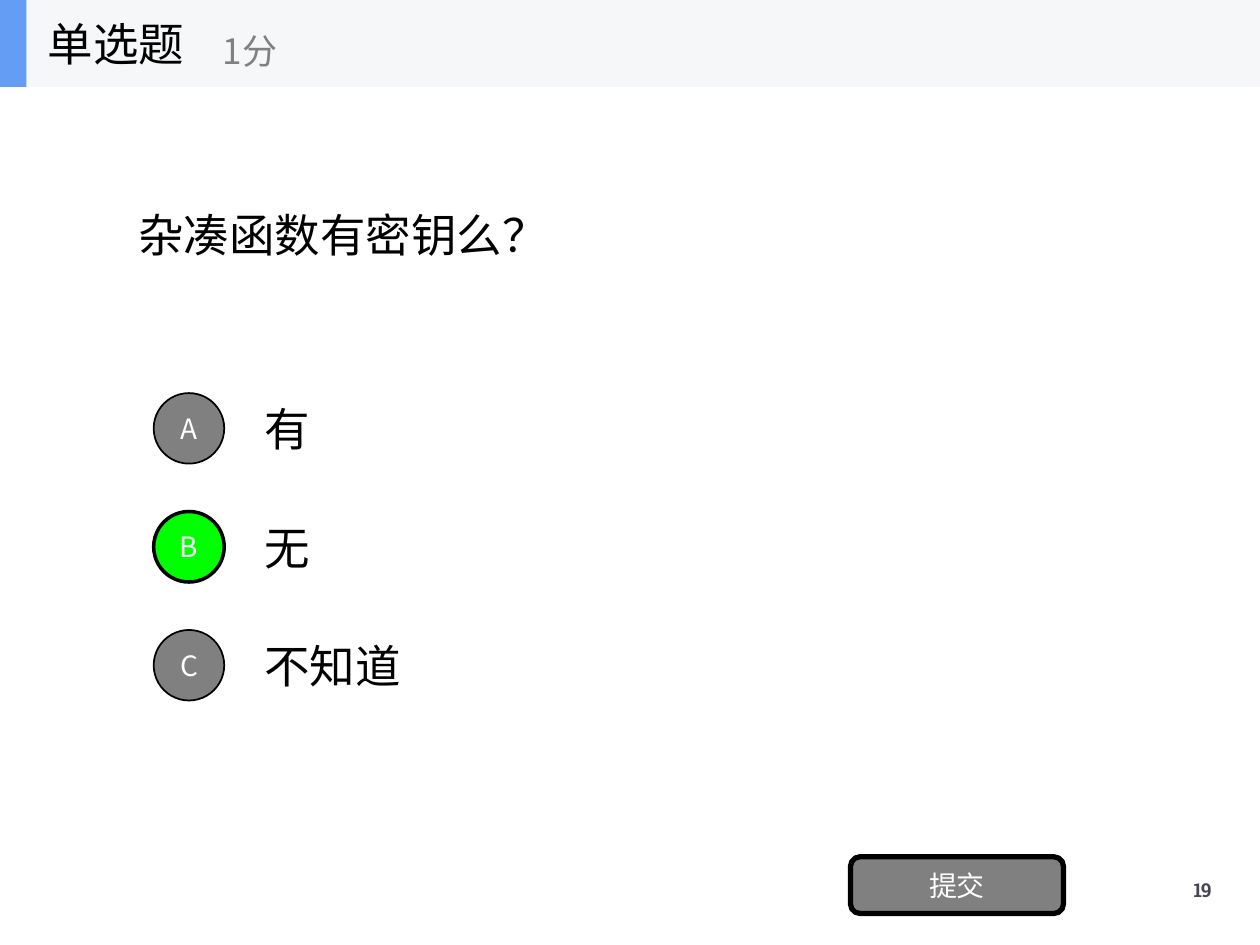
from lxml import etree
from pptx import Presentation
from pptx.dml.color import RGBColor
from pptx.enum import shapes, text
from pptx.oxml.ns import qn
from pptx.util import Inches, Pt

HEAD = "单选题"
SCORE = "1分"
ASK = "杂凑函数有密钥么？"
CHOICES = [("A", "有"), ("B", "无"), ("C", "不知道")]
RIGHT = "B"
SUBMIT = "提交"
PAGE = "19"

THEME = {
    "font": "Noto Sans CJK SC", "serif": "Roboto Slab",
    "ink": "000000", "grey": "808080", "white": "FFFFFF", "right": "00FF00",
    "band": "F6F7F8", "mark": "639EF4", "page": "464653",
    "big": 26, "mid": 20, "small": 16, "tiny": 11,
}
KIND = shapes.MSO_SHAPE
LEFT, MID = text.PP_ALIGN.LEFT, text.PP_ALIGN.CENTER


def color(name):
    return RGBColor.from_string(THEME[name])


def write(shape, words, size, ink, align=LEFT, font="font"):
    """Put one styled, vertically centred line in a shape; return its run."""
    frame = shape.text_frame
    frame.word_wrap = True
    frame.vertical_anchor = text.MSO_ANCHOR.MIDDLE
    frame.text = words
    para = frame.paragraphs[0]
    para.alignment = align
    run = para.runs[0]
    run.font.size = Pt(THEME[size])
    run.font.color.rgb = color(ink)
    run.font.name = THEME[font]
    east = etree.SubElement(run.font._element, qn("a:ea"))
    east.set("typeface", THEME[font])
    return run


def label(slide, box, *style):
    return write(slide.shapes.add_textbox(*map(Inches, box)), *style)


def block(slide, kind, box, fill, line=0):
    shape = slide.shapes.add_shape(kind, *map(Inches, box))
    shape.shadow.inherit = False
    shape.fill.solid()
    shape.fill.fore_color.rgb = color(fill)
    if line:
        shape.line.color.rgb = color("ink")
        shape.line.width = Pt(line)
    else:
        shape.line.fill.background()
    return shape


def header(slide):
    high = 0.69
    block(slide, KIND.RECTANGLE, (0, 0, 10, high), "band")
    block(slide, KIND.RECTANGLE, (0, 0, 0.21, high), "mark")
    label(slide, (0.28, 0, 2.08, high), HEAD, "big", "ink")
    label(slide, (1.67, 0.12, 2.5, 0.56), SCORE, "mid", "grey")


def options(slide):
    top, step, high, dot = 3.05, 0.94, 0.7, 0.56
    for i, (key, words) in enumerate(CHOICES):
        y = top + i * step
        label(slide, (2, y, 7, high), words, "big", "ink")
        fill, line = ("right", 2) if key == RIGHT else ("grey", 1)
        spot = (1.22, y + (high - dot) / 2, dot, dot)
        disc = block(slide, KIND.OVAL, spot, fill, line)
        disc.text_frame.margin_left = disc.text_frame.margin_right = 0
        write(disc, key, "small", "white", MID)


def footer(slide):
    box = (6.75, 6.8, 1.69, 0.45)
    button = block(slide, KIND.ROUNDED_RECTANGLE, box, "grey", 3)
    write(button, SUBMIT, "small", "white", MID)
    run = label(slide, (9.28, 6.86, 0.53, 0.4), PAGE, "tiny", "page", MID, "serif")
    run.font.bold = True
    run.font._element.set("spc", "-70")


def main():
    deck = Presentation()
    deck.slide_width, deck.slide_height = Inches(10), Inches(7.5)
    slide = deck.slides.add_slide(deck.slide_layouts[6])
    label(slide, (1, 0.69, 8, 2.34), ASK, "big", "ink")
    options(slide)
    footer(slide)
    header(slide)
    deck.save("out.pptx")


if __name__ == "__main__":
    main()
